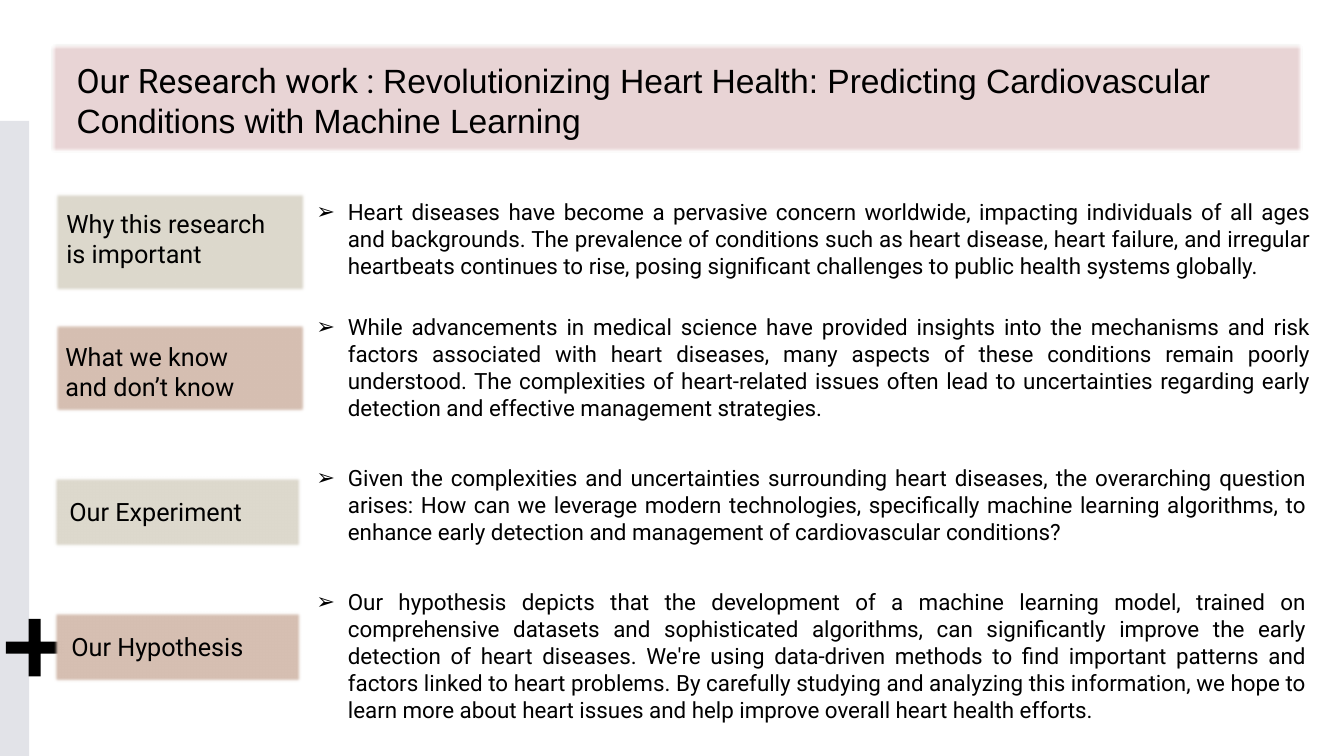
from dataclasses import dataclass

from lxml.etree import SubElement
from pptx import Presentation
from pptx.dml.color import RGBColor
from pptx.enum.shapes import MSO_SHAPE as Preset
from pptx.enum.text import MSO_ANCHOR as Anchor, MSO_AUTO_SIZE as AutoSize, PP_ALIGN as Align
from pptx.oxml.ns import qn
from pptx.shapes.autoshape import Shape
from pptx.slide import Slide
from pptx.text.text import Font, TextFrame
from pptx.util import Pt

BLACK, GREY, ROSE = "000000", "E2E3E8", "E8D4D5"
SAND, CLAY, OUTLINE = "DDD9CD", "D6BFB2", "4B4639"
BODY_LEFT, INDENT, SOFT_EDGE = 218.9, 22.5, 2.5


@dataclass(frozen=True)
class Box:
    left: float
    top: float
    width: float
    height: float

    def lengths(self) -> tuple[Pt, Pt, Pt, Pt]:
        return Pt(self.left), Pt(self.top), Pt(self.width), Pt(self.height)


@dataclass(frozen=True)
class Topic:
    label: str
    statement: str
    fill: str
    card: Box
    label_box: Box
    statement_box: Box


TOPICS = [
    Topic(
        "Why this research is important",
        "Heart diseases have become a pervasive concern worldwide, impacting individuals of all "
        "ages and backgrounds. The prevalence of conditions such as heart disease, heart failure, "
        "and irregular heartbeats continues to rise, posing significant challenges to public "
        "health systems globally.",
        SAND, Box(38.6, 137.2, 179.6, 71.6), Box(40.3, 145.4, 162, 51.1),
        Box(BODY_LEFT, 138.2, 724.3, 65.5),
    ),
    Topic(
        "What we know and don’t know",
        "While advancements in medical science have provided insights into the mechanisms and "
        "risk factors associated with heart diseases, many aspects of these conditions remain "
        "poorly understood. The complexities of heart-related issues often lead to uncertainties "
        "regarding early detection and effective management strategies.",
        CLAY, Box(38.6, 230.8, 179.6, 63.9), Box(39.6, 240, 146.2, 51.1),
        Box(BODY_LEFT, 220.3, 724.3, 85),
    ),
    Topic(
        "Our Experiment",
        "Given the complexities and uncertainties surrounding heart diseases, the overarching "
        "question arises: How can we leverage modern technologies, specifically machine learning "
        "algorithms, to enhance early detection and management of cardiovascular conditions?",
        SAND, Box(38.2, 340, 177.1, 51.1), Box(42.5, 350.9, 143.3, 28.8),
        Box(BODY_LEFT, 328.3, 721.4, 65.5),
    ),
    Topic(
        "Our Hypothesis",
        "Our hypothesis depicts that the development of a machine learning model, trained on "
        "comprehensive datasets and sophisticated algorithms, can significantly improve the early "
        "detection of heart diseases. We're using data-driven methods to find important patterns "
        "and factors linked to heart problems. By carefully studying and analyzing this "
        "information, we hope to learn more about heart issues and help improve overall heart "
        "health efforts.",
        CLAY, Box(38.2, 436.7, 177.1, 51.1), Box(43.9, 447.5, 150.5, 28.8),
        Box(BODY_LEFT, 416.9, 721.4, 104.4),
    ),
]


def color(value: str) -> RGBColor:
    return RGBColor.from_string(value)


def style_font(font: Font, size: float, name: str = "Roboto") -> None:
    font.size = Pt(size)
    font.name = name
    font.color.rgb = color(BLACK)


def fit_frame(frame: TextFrame) -> None:
    frame.word_wrap = True
    frame.auto_size = AutoSize.SHAPE_TO_FIT_TEXT
    frame.vertical_anchor = Anchor.TOP


def add_plain(slide: Slide, preset: Preset, box: Box, fill: str) -> Shape:
    plain = slide.shapes.add_shape(preset, *box.lengths())
    plain.shadow.inherit = False
    plain.fill.solid()
    plain.fill.fore_color.rgb = color(fill)
    plain.line.fill.background()
    return plain


def add_card(slide: Slide, box: Box, fill: str) -> Shape:
    card = add_plain(slide, Preset.RECTANGLE, box, fill)
    card.line.color.rgb = color(OUTLINE)
    card.line.width = Pt(1)
    effects = card._element.spPr.find(qn("a:effectLst"))
    SubElement(effects, qn("a:softEdge"), rad=str(Pt(SOFT_EDGE)))
    return card


def add_text(slide: Slide, box: Box, text: str, size: float, bulleted: bool = False) -> None:
    frame = slide.shapes.add_textbox(*box.lengths()).text_frame
    fit_frame(frame)
    paragraph = frame.paragraphs[0]
    paragraph.text = text
    if bulleted:
        paragraph.alignment = Align.JUSTIFY
        properties = paragraph._p.get_or_add_pPr()
        properties.set("marL", str(Pt(INDENT)))
        properties.set("indent", str(-Pt(INDENT)))
        SubElement(properties, qn("a:buFont"), typeface="Arial")
        SubElement(properties, qn("a:buChar"), char="➢")
    style_font(paragraph.font, size)


def add_heading(slide: Slide) -> None:
    banner = add_card(slide, Box(36.7, 31.7, 893.5, 77), ROSE)
    title = slide.shapes.title
    title.left, title.top, title.width, title.height = Box(47.5, 39, 882.7, 65.5).lengths()
    banner._element.addnext(title._element)
    fit_frame(title.text_frame)
    paragraph = title.text_frame.paragraphs[0]
    paragraph.alignment = Align.LEFT
    for text, name in [
        ("Our Research work : ", "Roboto"),
        ("Revolutionizing Heart Health: Predicting Cardiovascular Conditions "
         "with Machine Learning", "Arial"),
    ]:
        run = paragraph.add_run()
        run.text = text
        style_font(run.font, 24, name)


def main() -> None:
    deck = Presentation()
    deck.slide_width, deck.slide_height = Pt(960), Pt(540)
    slide = deck.slides.add_slide(deck.slide_layouts[5])
    add_plain(slide, Preset.RECTANGLE, Box(0, 86.4, 20.9, 453.6), GREY)
    plus = add_plain(slide, Preset.CROSS, Box(4.3, 442.1, 41, 41), BLACK)
    plus.adjustments[0] = 0.395
    add_heading(slide)
    for topic in TOPICS:
        add_card(slide, topic.card, topic.fill)
        add_text(slide, topic.label_box, topic.label, 18)
        add_text(slide, topic.statement_box, topic.statement, 16, bulleted=True)
    deck.save("out.pptx")


if __name__ == "__main__":
    main()
